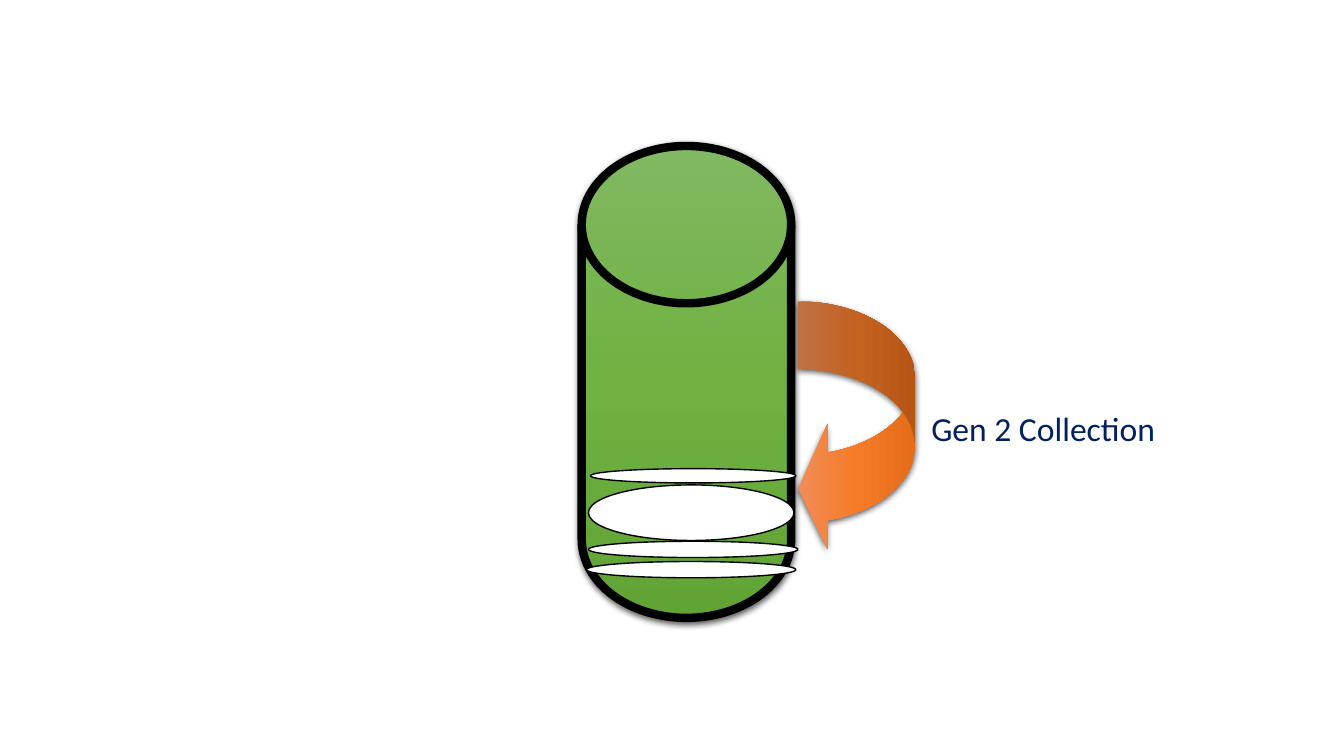
"""Build a slide of a banded green cylinder with an arrow marking the Gen 2 collection."""
from copy import deepcopy
from dataclasses import dataclass

from lxml import etree
from pptx import Presentation
from pptx.dml.color import RGBColor
from pptx.enum.shapes import MSO_SHAPE
from pptx.oxml.ns import qn
from pptx.shapes.autoshape import Shape
from pptx.slide import Slide
from pptx.util import Cm, Pt

DISK = MSO_SHAPE.FLOWCHART_MAGNETIC_DISK
ELLIPSE = MSO_SHAPE.OVAL
CURVED_ARROW = MSO_SHAPE.CURVED_UP_ARROW

BLACK = RGBColor(0x00, 0x00, 0x00)
WHITE = RGBColor(0xFF, 0xFF, 0xFF)
NAVY = RGBColor(0x00, 0x20, 0x60)
GREENS = (RGBColor(0x81, 0xB8, 0x61), RGBColor(0x6F, 0xB2, 0x42), RGBColor(0x62, 0xA3, 0x36))
ORANGES = (RGBColor(0xF1, 0x8C, 0x57), RGBColor(0xF6, 0x7B, 0x28), RGBColor(0xE5, 0x6C, 0x19))


@dataclass(frozen=True)
class Box:
    """Position and size in centimetres."""

    left: float
    top: float
    width: float
    height: float

    def lengths(self) -> tuple[Cm, Cm, Cm, Cm]:
        """Return the four values as slide lengths."""
        return Cm(self.left), Cm(self.top), Cm(self.width), Cm(self.height)


CYLINDER = Box(14.66, 3.68, 5.28, 11.89)
BANDS = (
    Box(14.78, 14.15, 5.28, 0.41),
    Box(14.83, 12.22, 5.18, 1.4),
    Box(14.83, 13.64, 5.28, 0.41),
    Box(14.88, 11.81, 5.18, 0.36),
)
ARROW = Box(18.44, 9.27, 6.3, 2.95)
LABEL = Box(23.22, 10.16, 8.18, 1.27)


def add_shape(s: Slide, kind: MSO_SHAPE, box: Box, line_width: float = 0) -> Shape:
    """Add a shape without a shadow, with a black outline if it has a width."""
    sp = s.shapes.add_shape(kind, *box.lengths())
    sp.shadow.inherit = False
    if line_width:
        sp.line.color.rgb = BLACK
        sp.line.width = Pt(line_width)
    else:
        sp.line.fill.background()
    return sp


def shade(sp: Shape, colors: tuple[RGBColor, ...]) -> None:
    """Give a shape an even vertical gradient and a soft shadow below."""
    sp.fill.gradient()
    stops = sp.element.spPr.find(qn("a:gradFill")).find(qn("a:gsLst"))
    while len(stops) < len(colors):
        stops.append(deepcopy(stops[0]))
    for i, (stop, color) in enumerate(zip(sp.fill.gradient_stops, colors)):
        stop.position = i / (len(colors) - 1)
        stop.color.rgb = color
    sp.fill.gradient_angle = 270

    effects = sp.element.spPr.find(qn("a:effectLst"))
    shadow = etree.SubElement(
        effects, qn("a:outerShdw"), blurRad=str(Pt(4.5)), dist=str(Pt(1.5)),
        dir="5400000", algn="ctr", rotWithShape="0",
    )
    color = etree.SubElement(shadow, qn("a:srgbClr"), val=str(BLACK))
    etree.SubElement(color, qn("a:alpha"), val="63000")


def add_arrow(s: Slide) -> None:
    """Add the curved arrow that turns back to the cylinder."""
    sp = add_shape(s, CURVED_ARROW, ARROW)
    shade(sp, ORANGES)
    sp.rotation = 90
    sp.element.spPr.find(qn("a:xfrm")).set("flipV", "1")
    for i, value in enumerate((0.579, 1.067, 0.25)):
        sp.adjustments[i] = round(value, 3)


def add_label(s: Slide) -> None:
    """Add the caption beside the arrow."""
    tf = s.shapes.add_textbox(*LABEL.lengths()).text_frame
    tf.word_wrap = True
    p = tf.paragraphs[0]
    p.text = "Gen 2 Collection"
    p.font.name = "Calibri"
    p.font.size = Pt(24)
    p.font.color.rgb = NAVY


def main() -> None:
    """Build and save the slide."""
    prs = Presentation()
    prs.slide_width, prs.slide_height = Cm(33.87), Cm(19.05)
    s = prs.slides.add_slide(prs.slide_layouts[6])
    shade(add_shape(s, DISK, CYLINDER, 6), GREENS)
    for box in BANDS:
        band = add_shape(s, ELLIPSE, box, 1)
        band.fill.solid()
        band.fill.fore_color.rgb = WHITE
    add_arrow(s)
    add_label(s)
    prs.save("out.pptx")


if __name__ == "__main__":
    main()
